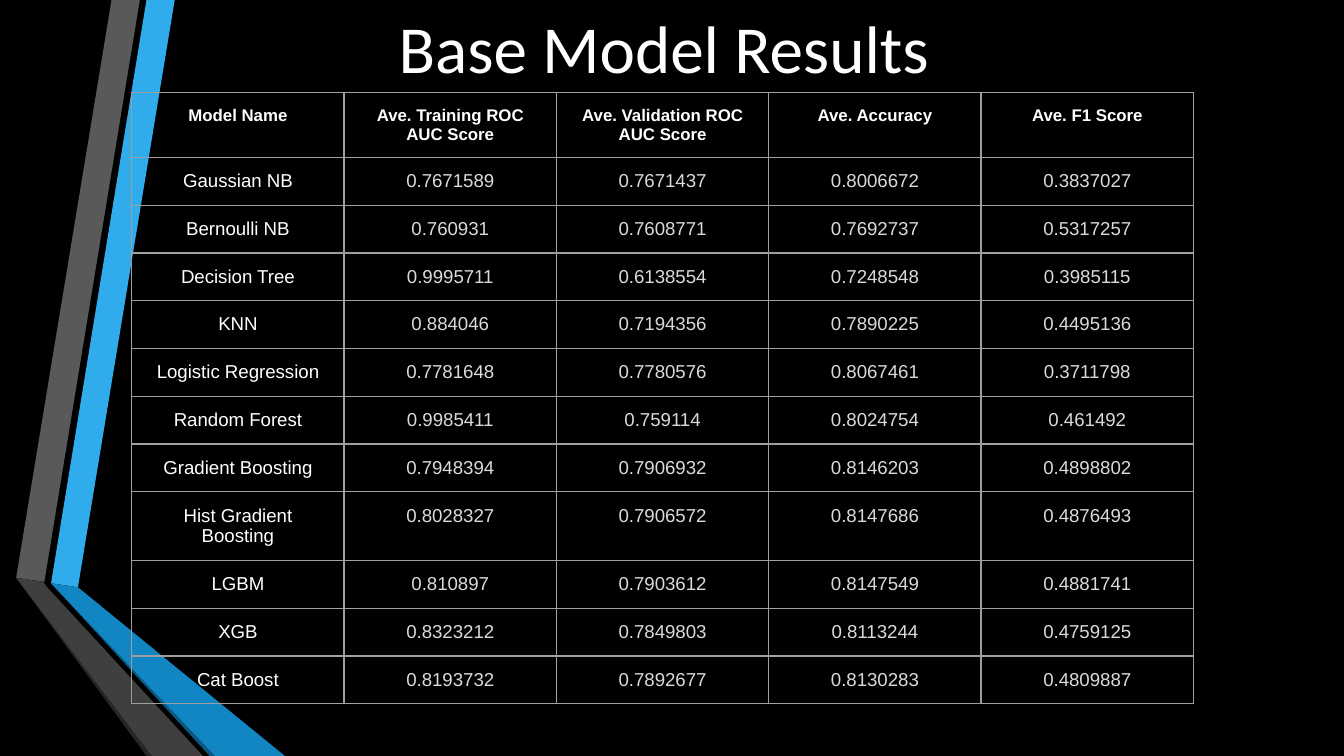
import pptx
import pptx.dml.color
import pptx.enum.text
import pptx.oxml
import pptx.oxml.ns
import pptx.util

Inches = pptx.util.Inches
RGBColor = pptx.dml.color.RGBColor

BLACK = RGBColor(0x00, 0x00, 0x00)
WHITE = RGBColor(0xFF, 0xFF, 0xFF)
LIGHT_GREY = RGBColor(0xDA, 0xDA, 0xDA)
BORDER_GREY = RGBColor(0x9E, 0x9E, 0x9E)
BLUE = RGBColor(0x30, 0xAC, 0xEC)
BLUE_FOLD = RGBColor(0x11, 0x86, 0xC3)
BLUE_EDGE = RGBColor(0x0B, 0x59, 0x82)
GREY = RGBColor(0x59, 0x59, 0x59)
GREY_FOLD = RGBColor(0x3F, 0x3F, 0x3F)
GREY_EDGE = RGBColor(0x26, 0x26, 0x26)

SLIDE_W = 10
SLIDE_H = SLIDE_W * 9 / 16

# Ribbon pieces from back to front: colour and corner points in inches
RIBBONS = [
    (BLUE, [(0.38, 4.34), (0.58, 4.37), (1.3, 0), (1.09, 0)]),
    (GREY, [(1.04, 0), (0.83, 0), (0.12, 4.3), (0.33, 4.33)]),
    (GREY_EDGE, [(0.12, 4.3), (1.09, SLIDE_H), (1.13, SLIDE_H)]),
    (BLUE_EDGE, [(0.38, 4.34), (1.56, SLIDE_H), (1.6, SLIDE_H)]),
    (BLUE_FOLD, [(0.38, 4.34), (1.6, SLIDE_H), (2.12, SLIDE_H), (0.58, 4.37)]),
    (GREY_FOLD, [(1.51, SLIDE_H), (0.36, 4.38), (0.32, 4.33), (0.12, 4.3),
                 (1.13, SLIDE_H)]),
]

HEADERS = ["Model Name", "Ave. Training ROC AUC Score",
           "Ave. Validation ROC AUC Score", "Ave. Accuracy", "Ave. F1 Score"]
RESULTS = [
    ("Gaussian NB", "0.7671589", "0.7671437", "0.8006672", "0.3837027"),
    ("Bernoulli NB", "0.760931", "0.7608771", "0.7692737", "0.5317257"),
    ("Decision Tree", "0.9995711", "0.6138554", "0.7248548", "0.3985115"),
    ("KNN", "0.884046", "0.7194356", "0.7890225", "0.4495136"),
    ("Logistic Regression", "0.7781648", "0.7780576", "0.8067461", "0.3711798"),
    ("Random Forest", "0.9985411", "0.759114", "0.8024754", "0.461492"),
    ("Gradient Boosting", "0.7948394", "0.7906932", "0.8146203", "0.4898802"),
    ("Hist Gradient Boosting", "0.8028327", "0.7906572", "0.8147686", "0.4876493"),
    ("LGBM", "0.810897", "0.7903612", "0.8147549", "0.4881741"),
    ("XGB", "0.8323212", "0.7849803", "0.8113244", "0.4759125"),
    ("Cat Boost", "0.8193732", "0.7892677", "0.8130283", "0.4809887"),
]
COL_W = 1.58
HEADER_H = 0.48
ROW_H = 0.35


def write_text(tf, text, size=10, font="Arial", color=WHITE, bold=False):
    """Put one centred, formatted line of text into a text frame."""
    tf.word_wrap = True
    tf.margin_left = tf.margin_right = Inches(0.1)
    tf.margin_top = tf.margin_bottom = Inches(0.1)
    p = tf.paragraphs[0]
    p.alignment = pptx.enum.text.PP_ALIGN.CENTER
    r = p.add_run()
    r.text = text
    r.font.size = pptx.util.Pt(size)
    r.font.name = font
    r.font.bold = bold
    r.font.color.rgb = color


def add_ribbon(s, color, points):
    corners = [(Inches(x), Inches(y)) for x, y in points]
    builder = s.shapes.build_freeform(*corners[0])
    builder.add_line_segments(corners[1:], close=True)
    sp = builder.convert_to_shape()
    sp.shadow.inherit = False
    sp.fill.solid()
    sp.fill.fore_color.rgb = color
    sp.line.fill.background()


def set_borders(cell):
    tcPr = cell._tc.get_or_add_tcPr()
    for side in ("lnL", "lnR", "lnT", "lnB"):
        tcPr.append(pptx.oxml.parse_xml(
            f'<a:{side} {pptx.oxml.ns.nsdecls("a")} w="{pptx.util.Pt(0.75)}">'
            f'<a:solidFill><a:srgbClr val="{BORDER_GREY}"/></a:solidFill>'
            f'</a:{side}>'))


def fill_cell(cell, text, **text_format):
    write_text(cell.text_frame, text, **text_format)
    cell.margin_left = cell.margin_right = Inches(0.1)
    cell.margin_top = cell.margin_bottom = Inches(0.1)
    set_borders(cell)
    cell.fill.background()


def add_results_table(s):
    rows, cols = len(RESULTS) + 1, len(HEADERS)
    table = s.shapes.add_table(
        rows, cols, Inches(0.98), Inches(0.69), Inches(COL_W * cols),
        Inches(HEADER_H + ROW_H * len(RESULTS))).table
    table.first_row = table.horz_banding = False
    for column in table.columns:
        column.width = Inches(COL_W)
    for i, row in enumerate(table.rows):
        row.height = Inches(ROW_H if i else HEADER_H)

    for j, header in enumerate(HEADERS):
        fill_cell(table.cell(0, j), header, size=9, bold=True)
    for i, result in enumerate(RESULTS, start=1):
        for j, value in enumerate(result):
            fill_cell(table.cell(i, j), value, color=LIGHT_GREY if j else WHITE)


def set_title(s, text):
    title = s.shapes.title
    title.left, title.top = Inches(0.28), Inches(-0.05)
    title.width, title.height = Inches(9.32), Inches(0.81)
    title.text_frame.vertical_anchor = pptx.enum.text.MSO_ANCHOR.TOP
    write_text(title.text_frame, text, size=36, font="Calibri")


def main():
    prs = pptx.Presentation()
    prs.slide_width, prs.slide_height = Inches(SLIDE_W), Inches(SLIDE_H)
    s = prs.slides.add_slide(prs.slide_layouts[5])

    # Background and folded ribbons
    s.background.fill.solid()
    s.background.fill.fore_color.rgb = BLACK
    for color, points in RIBBONS:
        add_ribbon(s, color, points)

    # Content
    add_results_table(s)
    set_title(s, "Base Model Results")
    prs.save("out.pptx")


if __name__ == "__main__":
    main()
